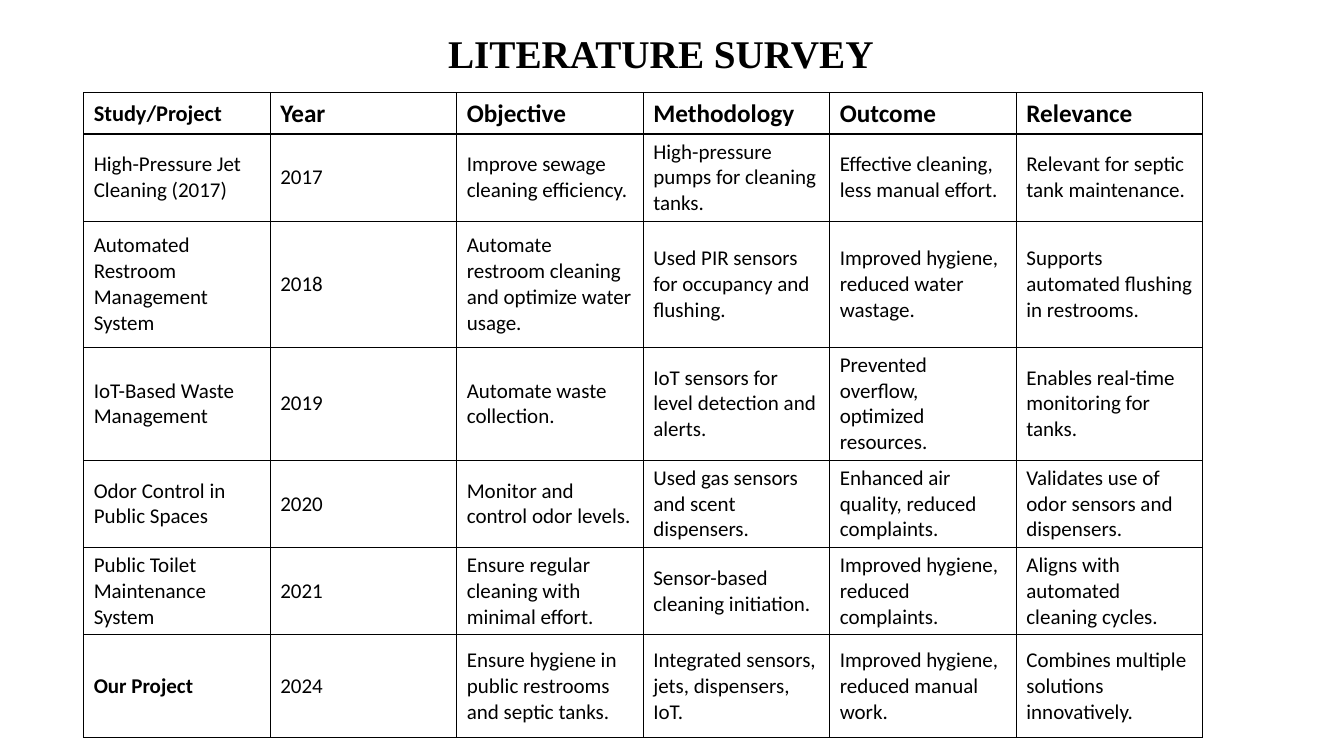
from lxml import etree
from pptx import Presentation
from pptx.dml.color import RGBColor
from pptx.enum.text import MSO_ANCHOR, PP_ALIGN
from pptx.oxml.ns import qn
from pptx.util import Inches, Pt

MIDDLE = MSO_ANCHOR.MIDDLE
CENTER = PP_ALIGN.CENTER
LEFT = PP_ALIGN.LEFT
COLORS = {"ink": "000000", "paper": "FFFFFF"}

COL_W = 1.85
ROW_H = [0.41, 0.81, 1.25, 1.05, 0.81, 0.81, 1.02]
STUDIES = [
    ["Study/Project", "Year", "Objective", "Methodology", "Outcome", "Relevance"],
    ["High-Pressure Jet Cleaning (2017)", "2017",
     "Improve sewage cleaning efficiency.",
     "High-pressure pumps for cleaning tanks.",
     "Effective cleaning, less manual effort.",
     "Relevant for septic tank maintenance."],
    ["Automated Restroom Management System", "2018",
     "Automate restroom cleaning and optimize water usage.",
     "Used PIR sensors for occupancy and flushing.",
     "Improved hygiene, reduced water wastage.",
     "Supports automated flushing in restrooms."],
    ["IoT-Based Waste Management", "2019",
     "Automate waste collection.",
     "IoT sensors for level detection and alerts.",
     "Prevented overflow, optimized resources.",
     "Enables real-time monitoring for tanks."],
    ["Odor Control in Public Spaces", "2020",
     "Monitor and control odor levels.",
     "Used gas sensors and scent dispensers.",
     "Enhanced air quality, reduced complaints.",
     "Validates use of odor sensors and dispensers."],
    ["Public Toilet Maintenance System", "2021",
     "Ensure regular cleaning with minimal effort.",
     "Sensor-based cleaning initiation.",
     "Improved hygiene, reduced complaints.",
     "Aligns with automated cleaning cycles."],
    ["Our Project", "2024",
     "Ensure hygiene in public restrooms and septic tanks.",
     "Integrated sensors, jets, dispensers, IoT.",
     "Improved hygiene, reduced manual work.",
     "Combines multiple solutions innovatively."],
]


def color(name):
    return RGBColor.from_string(COLORS[name])


def set_text(frame, text, face, size, bold, align):
    frame.text = text
    para = frame.paragraphs[0]
    para.alignment = align
    font = para.font
    font.name, font.size, font.bold = face, Pt(size), bold
    font.color.rgb = color("ink")


def add_title(slide, text):
    title = slide.shapes.title
    title.left, title.top = Inches(1.42), Inches(0.25)
    title.width, title.height = Inches(10.35), Inches(0.55)
    frame = title.text_frame
    frame.margin_left = frame.margin_right = 0
    frame.margin_top = frame.margin_bottom = 0
    frame.vertical_anchor = MIDDLE
    set_text(frame, text, "Times New Roman", 28, True, CENTER)


def set_border(cell):
    props = cell._tc.get_or_add_tcPr()
    # Borders come before the fill in the cell properties
    for spot, side in enumerate(("lnL", "lnR", "lnT", "lnB")):
        line = etree.Element(qn("a:" + side), w=str(Pt(1)))
        fill = etree.SubElement(line, qn("a:solidFill"))
        etree.SubElement(fill, qn("a:srgbClr"), val=COLORS["ink"])
        props.insert(spot, line)


def add_grid(slide, data):
    cols = len(data[0])
    grid = slide.shapes.add_table(
        len(data), cols, Inches(0.83), Inches(0.92),
        Inches(COL_W * cols), Inches(sum(ROW_H))).table
    for col in grid.columns:
        col.width = Inches(COL_W)
    for r, row in enumerate(data):
        grid.rows[r].height = Inches(ROW_H[r])
        for c, text in enumerate(row):
            cell = grid.cell(r, c)
            head = r == 0
            size = (16 if c == 0 else 18) if head else 15
            bold = head or (c == 0 and r == len(data) - 1)
            set_text(cell.text_frame, text, "Calibri", size, bold, LEFT)
            cell.vertical_anchor = MIDDLE
            cell.fill.solid()
            cell.fill.fore_color.rgb = color("paper")
            set_border(cell)


def main():
    deck = Presentation()
    deck.slide_width, deck.slide_height = Inches(13.33), Inches(7.5)
    slide = deck.slides.add_slide(deck.slide_layouts[5])
    # Heading
    add_title(slide, "LITERATURE SURVEY ")
    # Table of studies
    add_grid(slide, STUDIES)
    deck.save("out.pptx")


if __name__ == "__main__":
    main()
